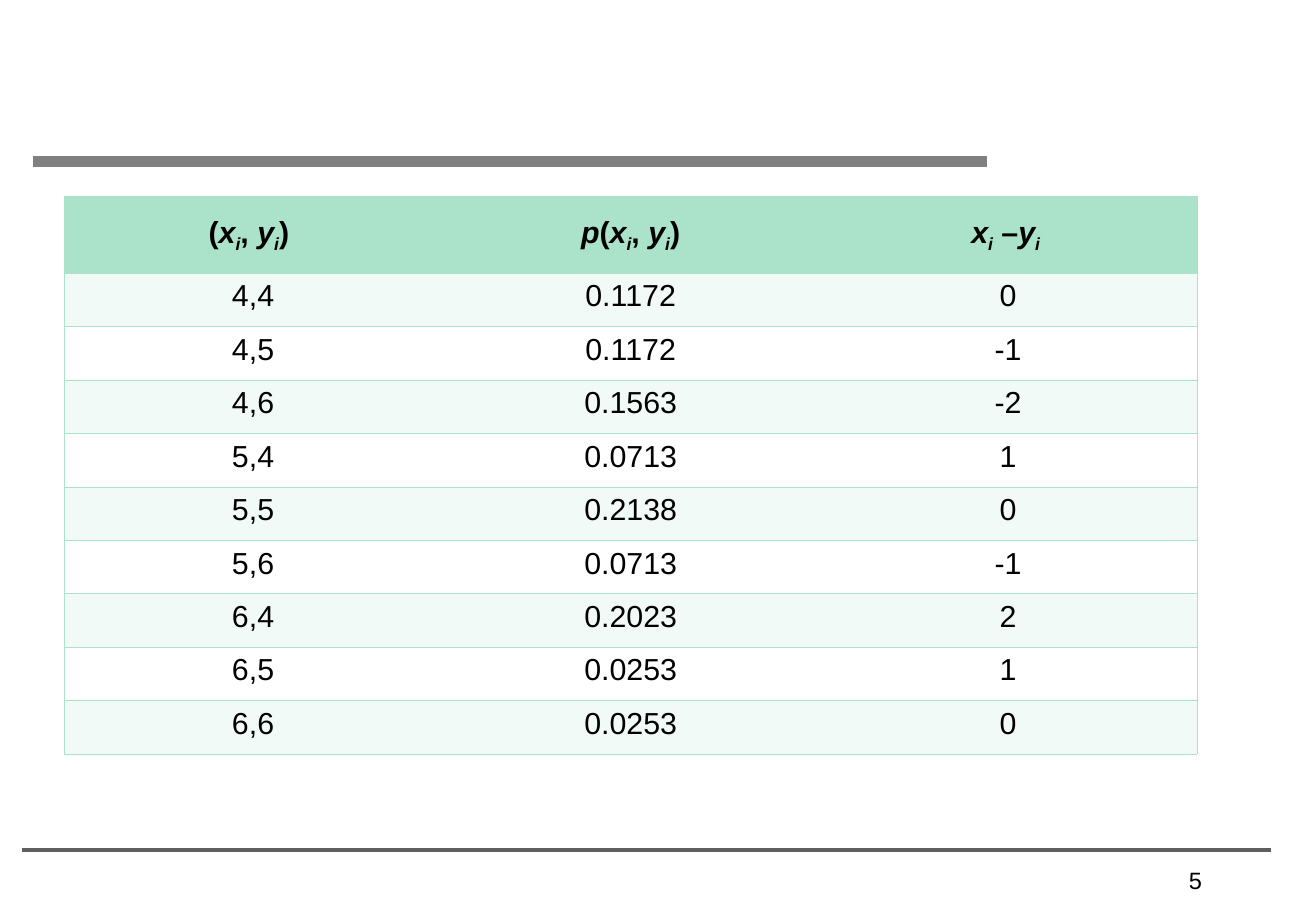
from lxml import etree
from pptx import Presentation
from pptx.dml.color import RGBColor
from pptx.enum.shapes import MSO_CONNECTOR
from pptx.enum.text import MSO_ANCHOR, PP_ALIGN
from pptx.oxml.ns import qn
from pptx.util import Inches, Pt

STRAIGHT = MSO_CONNECTOR.STRAIGHT
TOP, MIDDLE = MSO_ANCHOR.TOP, MSO_ANCHOR.MIDDLE
CENTER, RIGHT = PP_ALIGN.CENTER, PP_ALIGN.RIGHT

MINT, PALE, WHITE = "AAE2CA", "F1FAF6", "FFFFFF"
HEADER_HEIGHT, ROW_HEIGHT = 0.63, 0.44

X_I = [("x", "italic"), ("i", "sub")]
Y_I = [("y", "italic"), ("i", "sub")]
HEADERS = [
    [("(", ""), *X_I, (", ", ""), *Y_I, (") ", "")],
    [("p", "italic"), ("(", ""), *X_I, (", ", ""), *Y_I, (")", "")],
    [*X_I, (" –", ""), ("y", "italic"), ("i ", "sub")],
]
ROWS = [
    ("4,4", "0.1172", "0"),
    ("4,5", "0.1172", "-1"),
    ("4,6", "0.1563", "-2"),
    ("5,4", "0.0713", "1"),
    ("5,5", "0.2138", "0"),
    ("5,6", "0.0713", "-1"),
    ("6,4", "0.2023", "2"),
    ("6,5", "0.0253", "1"),
    ("6,6", "0.0253", "0"),
]


def rgb(color):
    return RGBColor.from_string(color)


def write(tf, runs, size=18, bold=False, align=CENTER):
    p = tf.paragraphs[0]
    p.alignment = align
    for text, style in runs:
        r = p.add_run()
        r.text = text
        r.font.name = "Arial"
        r.font.size = Pt(size)
        r.font.bold = bold
        r.font.italic = style in ("italic", "sub")
        r.font.color.rgb = rgb("000000")
        if style == "sub":
            r.font._element.set("baseline", "-25000")


def add_rule(slide, left, top, width, color, weight):
    line = slide.shapes.add_connector(
        STRAIGHT, Inches(left), Inches(top), Inches(left + width), Inches(top))
    line.line.color.rgb = rgb(color)
    line.line.width = Pt(weight)
    etree.SubElement(line._element.spPr, qn("a:effectLst"))


def set_borders(cell, visible):
    tcPr = cell._tc.get_or_add_tcPr()
    for side in "LRTB":
        ln = etree.SubElement(tcPr, qn(f"a:ln{side}"), w=str(Pt(0.45)))
        if side in visible:
            fill = etree.SubElement(ln, qn("a:solidFill"))
            etree.SubElement(fill, qn("a:srgbClr"), val=MINT)
        else:
            etree.SubElement(ln, qn("a:noFill"))


def add_distribution_table(slide, left, top, width):
    grid = [HEADERS] + [[[(value, "")] for value in row] for row in ROWS]
    height = HEADER_HEIGHT + ROW_HEIGHT * len(ROWS)
    last = len(HEADERS) - 1
    table = slide.shapes.add_table(
        len(grid), len(HEADERS),
        Inches(left), Inches(top), Inches(width), Inches(height)).table
    table.first_row = False
    table.horz_banding = False
    for i, row in enumerate(grid):
        header = i == 0
        table.rows[i].height = Inches(HEADER_HEIGHT if header else ROW_HEIGHT)
        for j, runs in enumerate(row):
            cell = table.cell(i, j)
            cell.vertical_anchor = MIDDLE if header else TOP
            set_borders(cell, "TB" + "L" * (j == 0) + "R" * (j == last))
            cell.fill.solid()
            cell.fill.fore_color.rgb = rgb(
                MINT if header else PALE if i % 2 else WHITE)
            write(cell.text_frame, runs, bold=header)


def add_page_number(slide, left, top, width, height, number):
    tf = slide.shapes.add_textbox(
        Inches(left), Inches(top), Inches(width), Inches(height)).text_frame
    tf.word_wrap = True
    write(tf, [(number, "")], size=14, align=RIGHT)


def main():
    prs = Presentation()
    prs.slide_width, prs.slide_height = Inches(10.84), Inches(7.5)
    slide = prs.slides.add_slide(prs.slide_layouts[6])
    add_rule(slide, 0.27, 1.33, 7.86, "808080", 6)
    add_rule(slide, 0.18, 7, 10.29, "5F5F5F", 2.25)
    add_distribution_table(slide, 0.53, 1.62, 9.33)
    add_page_number(slide, 9.09, 7.08, 0.91, 0.25, "5")
    prs.save("out.pptx")


if __name__ == "__main__":
    main()
